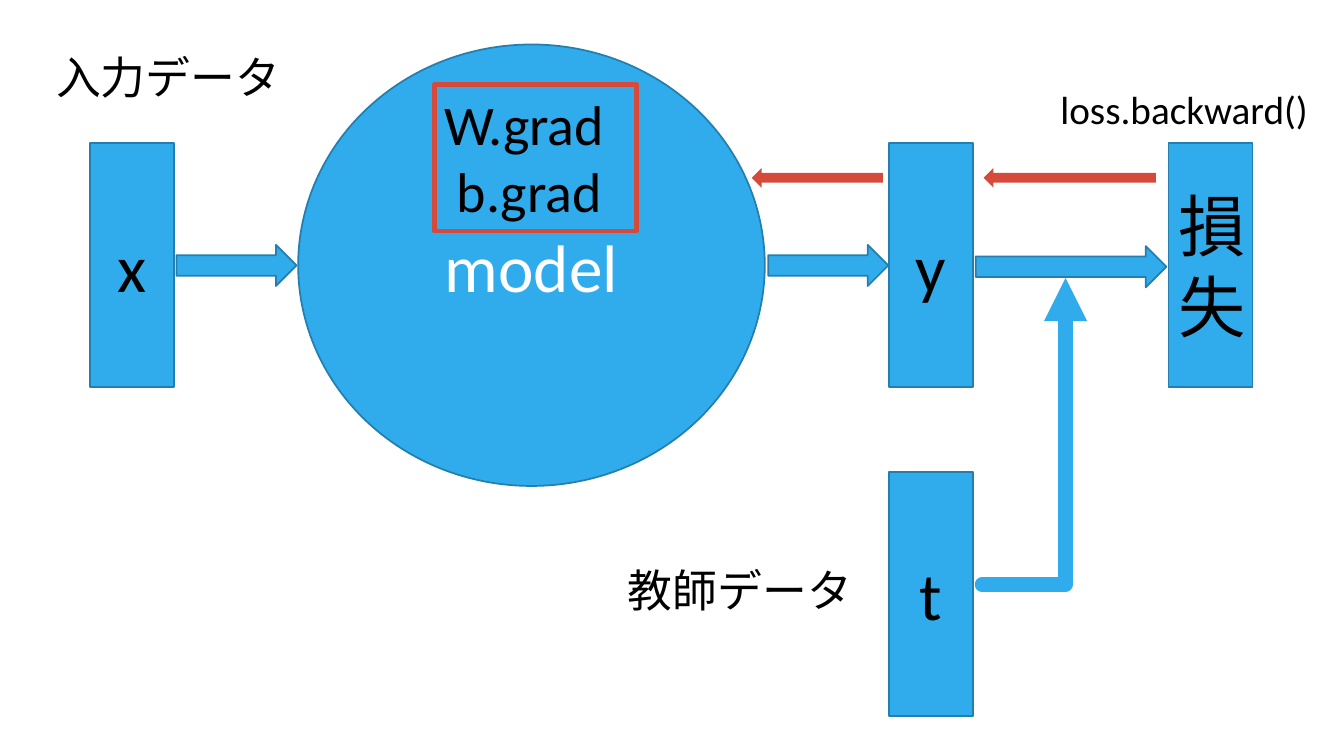
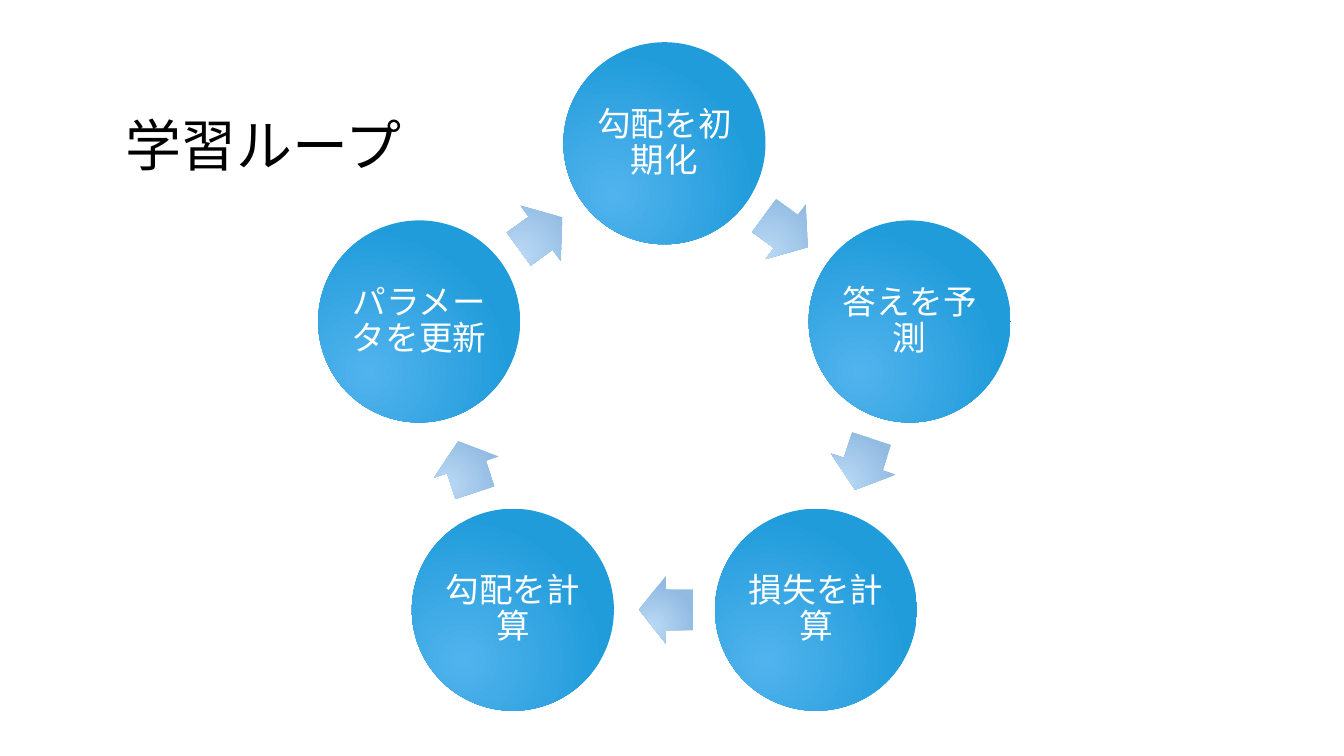
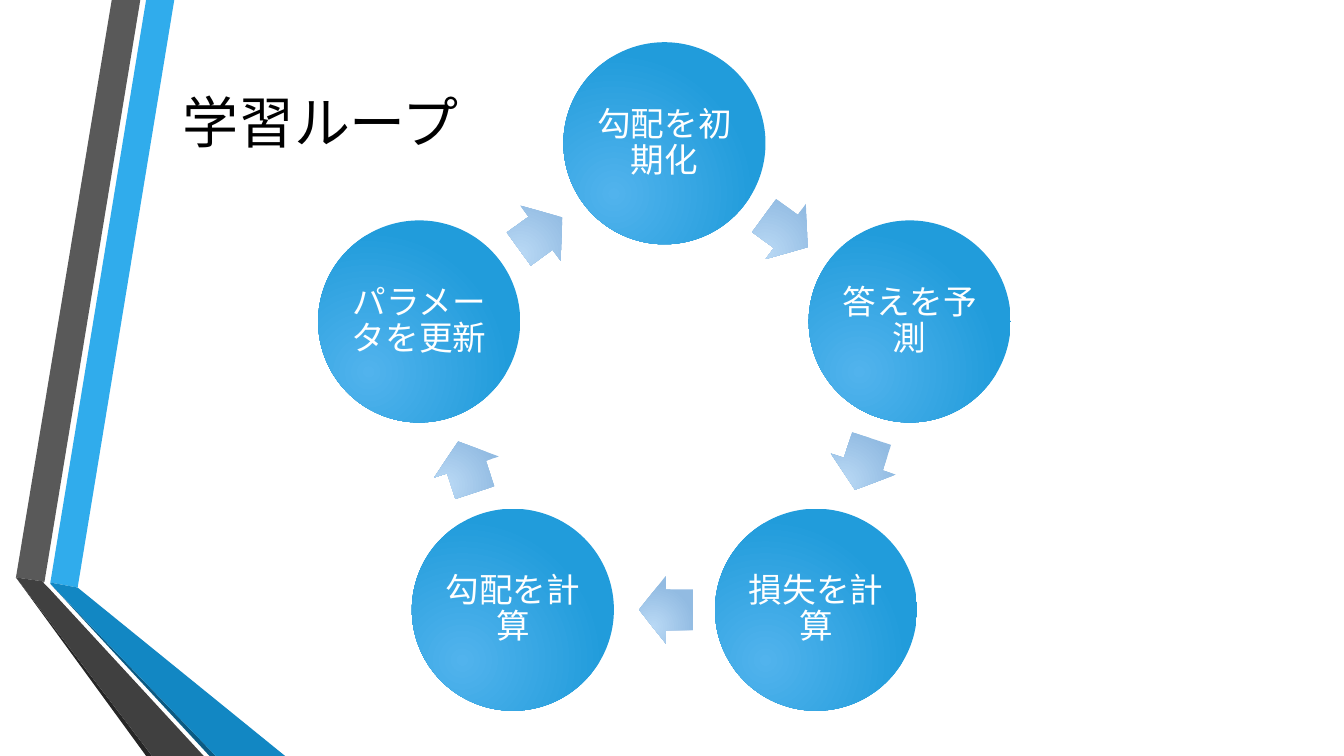
from math import atan2, cos, degrees, pi, sin

from pptx import Presentation
from pptx.dml.color import RGBColor
from pptx.enum.shapes import MSO_CONNECTOR, MSO_SHAPE as SHAPE
from pptx.enum.text import MSO_ANCHOR as ANCHOR, PP_ALIGN as ALIGN
from pptx.oxml import parse_xml
from pptx.oxml.ns import nsdecls, qn
from pptx.util import Inches, Pt

COLS, ROWS = 32, 18
WIDTH, HEIGHT = Inches(13.333), Inches(7.5)
CELL = HEIGHT / ROWS

FONT = "Calibri"
BLACK, WHITE = "000000", "FFFFFF"
BLUE, BLUE_EDGE, RED = "30ACEC", "247FAF", "D64A3B"
DISC_GRADIENT = ("51B3ED", "219CDB")
ARROW_GRADIENT = ("B9D9F5", "92BBE2")

STEPS = ["勾配を初期化", "答えを予測", "損失を計算", "勾配を計算", "パラメータを更新"]
RIBBONS = [
    (BLUE, [(1.2, 13.87), (1.85, 13.99), (4.15, 0), (3.48, 0)]),
    ("595959", [(3.34, 0), (2.66, 0), (0.38, 13.75), (1.06, 13.85)]),
    ("262626", [(0.38, 13.75), (3.48, ROWS), (3.62, ROWS)]),
    ("0C5A82", [(1.2, 13.9), (4.99, ROWS), (5.14, ROWS)]),
    ("1287C3", [(1.2, 13.9), (5.14, ROWS), (6.79, ROWS), (1.85, 13.99), (1.2, 13.87)]),
    ("404040", [(4.85, ROWS), (1.15, 13.99), (1.03, 13.87), (1.06, 13.85),
                (0.38, 13.75), (3.62, ROWS)]),
]


def rgb(hex_color):
    return RGBColor.from_string(hex_color)


def grid(*cells):
    """Turn columns and rows into slide lengths."""
    return [round(n * CELL) for n in cells]


def xml(markup):
    return parse_xml(markup.replace("/>", f" {nsdecls('a')}/>", 1)
                     if markup.endswith("/>") and markup.count("<") == 1
                     else markup.replace(">", f" {nsdecls('a')}>", 1))


def write(sp, text, size=48, color=BLACK, align=ALIGN.LEFT, anchor=ANCHOR.TOP,
          wrap=True, spacing=None, inset=None):
    """Fill a shape with text, one paragraph per line."""
    tf = sp.text_frame
    tf.word_wrap, tf.vertical_anchor = wrap, anchor
    if inset is not None:
        tf.margin_left = tf.margin_right = tf.margin_top = tf.margin_bottom = Inches(inset)
    for i, line in enumerate(text.split("\n")):
        p = tf.add_paragraph() if i else tf.paragraphs[0]
        p.alignment, p.line_spacing = align, spacing
        r = p.add_run()
        r.text = line
        r.font.name, r.font.size, r.font.color.rgb = FONT, Pt(size), rgb(color)


class Deck:
    def __init__(self):
        self.prs = Presentation()
        self.prs.slide_width, self.prs.slide_height = WIDTH, HEIGHT
        self.s = None

    def slide(self):
        self.s = self.prs.slides.add_slide(self.prs.slide_layouts[6])

    def paint(self, sp, fill=None, line=None, width=1.25):
        """Set a flat or (inner, outer) radial fill and an optional line."""
        sp.shadow.inherit = False
        if fill is None:
            sp.fill.background()
        elif isinstance(fill, tuple):
            self.radial(sp, fill)
        else:
            sp.fill.solid()
            sp.fill.fore_color.rgb = rgb(fill)
        if line:
            sp.line.color.rgb, sp.line.width = rgb(line), Pt(width)
        else:
            sp.line.fill.background()

    def radial(self, sp, colors):
        sp.fill.gradient()
        for stop, color, position in zip(sp.fill.gradient_stops, colors, (0, 1)):
            stop.color.rgb, stop.position = rgb(color), position
        grad = sp._element.spPr.find(qn("a:gradFill"))
        grad.replace(grad.find(qn("a:lin")), xml(
            '<a:path path="circle">'
            '<a:fillToRect l="50000" t="100000" r="100000" b="50000"/></a:path>'))

    def shape(self, kind, x, y, w, h, **style):
        sp = self.s.shapes.add_shape(kind, *grid(x, y, w, h))
        self.paint(sp, **style)
        return sp

    def node(self, text, x, y, w=2, h=5.81, kind=SHAPE.RECTANGLE, color=BLACK):
        sp = self.shape(kind, x, y, w, h, fill=BLUE, line=BLUE_EDGE)
        write(sp, text, color=color, align=ALIGN.CENTER, anchor=ANCHOR.MIDDLE)

    def forward(self, x, y, w):
        self.shape(SHAPE.RIGHT_ARROW, x, y, w, 0.98, fill=BLUE, line=BLUE_EDGE)

    def backward(self, x, y, w):
        self.shape(SHAPE.LEFT_ARROW, x, y, w, 0.47, fill=RED)

    def label(self, text, x, y, w, h, **style):
        write(self.s.shapes.add_textbox(*grid(x, y, w, h)), text, **style)

    def title(self, text, x, y):
        self.label(text, x, y, 7.22, 1.85, size=40, wrap=False)

    def elbow(self, x1, y1, x2, y2):
        """Draw a thick arrow that runs sideways and then turns once."""
        cn = self.s.shapes.add_connector(MSO_CONNECTOR.ELBOW, *grid(x1, y1, x2, y2))
        cn.line.color.rgb, cn.line.width = rgb(BLUE), Pt(10.25)
        sp_pr = cn._element.spPr
        sp_pr.find(qn("a:prstGeom")).set("prst", "bentConnector2")
        ln = sp_pr.find(qn("a:ln"))
        ln.set("cap", "rnd")
        ln.append(xml("<a:round/>"))
        ln.append(xml('<a:tailEnd type="triangle"/>'))
        sp_pr.append(xml("<a:effectLst/>"))

    def ribbon(self, color, points):
        start, *rest = [tuple(grid(*point)) for point in points]
        fb = self.s.shapes.build_freeform(*start)
        fb.add_line_segments(rest)
        self.paint(fb.convert_to_shape(), fill=color)

    def cycle(self, steps, cx=15.82, cy=9.55, radius=6.14, disc=4.81):
        """Place discs clockwise on a ring, each with an arrow to the next."""
        turn = 2 * pi / len(steps)
        centres = [(cx + radius * sin(i * turn), cy - radius * cos(i * turn))
                   for i in range(len(steps))]
        arrow_w, arrow_h, share = 1.28, 1.62, 0.495
        for text, (x, y), (nx, ny) in zip(steps, centres, centres[1:] + centres[:1]):
            sp = self.shape(SHAPE.OVAL, x - disc / 2, y - disc / 2, disc, disc,
                            fill=DISC_GRADIENT)
            write(sp, text, size=24, color=WHITE, align=ALIGN.CENTER,
                  anchor=ANCHOR.MIDDLE, spacing=0.9, inset=0.03)
            dx, dy = nx - x, ny - y
            arrow = self.shape(SHAPE.RIGHT_ARROW, x + share * dx - arrow_w / 2,
                               y + share * dy - arrow_h / 2, arrow_w, arrow_h,
                               fill=ARROW_GRADIENT)
            arrow.adjustments[0] = 0.6
            arrow.rotation = round(degrees(atan2(dy, dx))) % 360


def backprop_slide(d):
    d.slide()
    top, y_col = 3.41, 21.17
    d.node("x", 2.14, top)
    d.node("model", 7.1, 1.06, 11.11, 10.51, kind=SHAPE.OVAL, color=WHITE)
    d.node("y", y_col, top)
    d.node("t", y_col, 11.23)
    d.node("損失", 27.82, top)
    for x, y, w in [(4.2, 5.83, 2.86), (18.29, 5.83, 2.86), (23.23, 5.86, 4.54)]:
        d.forward(x, y, w)
    d.elbow(23.38, 13.92, 25.37, 6.62)
    for text, x, y in [("入力データ", 1.1, 1.06), ("教師データ", 14.71, 13.27)]:
        d.label(text, x, y, 6.22, 1.54, size=32)
    gradients = d.shape(SHAPE.RECTANGLE, 10.34, 2.02, 4.82, 3.48, line=RED, width=3.5)
    write(gradients, "W.grad\n b.grad", size=40)
    d.backward(23.42, 4, 4.1)
    d.backward(17.9, 4, 3.12)
    d.label("loss.backward()", 25.01, 1.92, 6.58, 1.37, size=28, wrap=False)


def loop_slide(d, title_x, title_y, ribbons=()):
    d.slide()
    for color, points in ribbons:
        d.ribbon(color, points)
    d.cycle(STEPS)
    d.title("学習ループ", title_x, title_y)


def main():
    d = Deck()
    backprop_slide(d)
    loop_slide(d, 2.74, 2.52)
    loop_slide(d, 4.1, 1.97, RIBBONS)
    d.prs.save("out.pptx")


if __name__ == "__main__":
    main()
